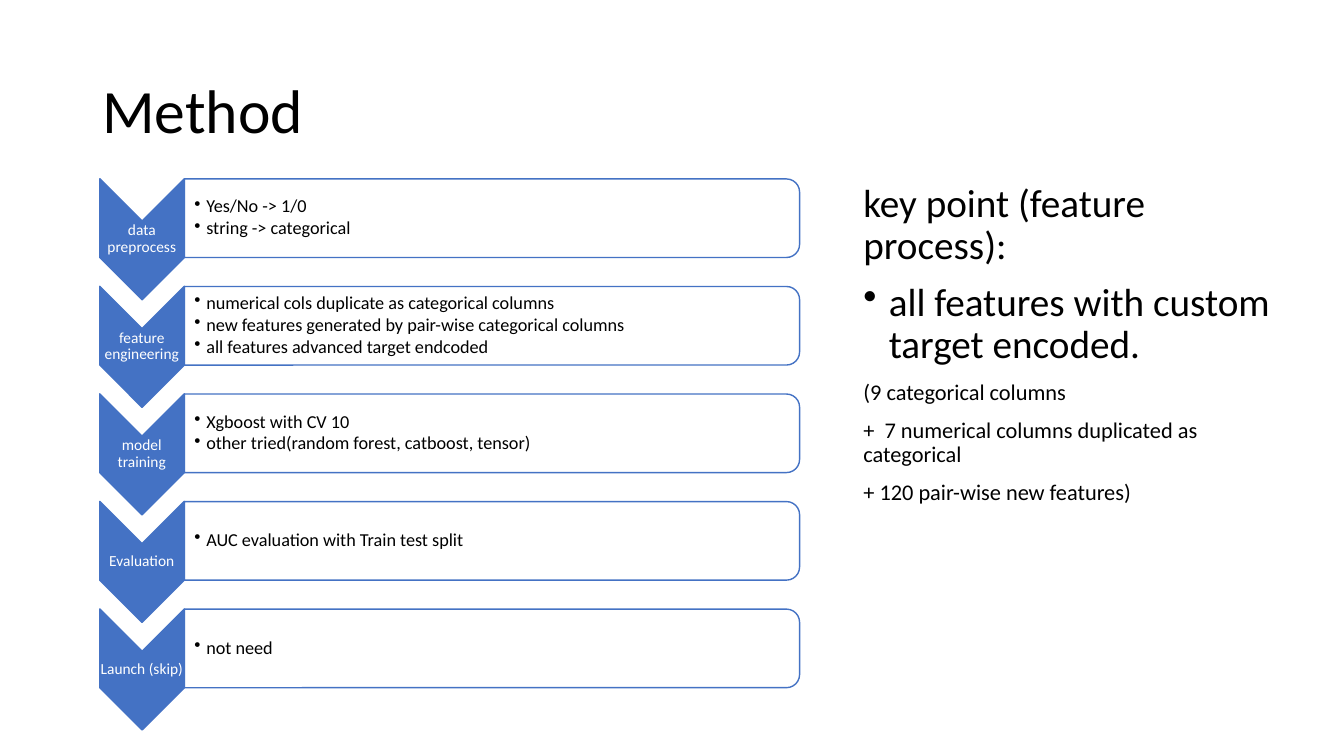
from lxml import etree
from pptx import Presentation
from pptx.dml.color import RGBColor
from pptx.enum.shapes import MSO_SHAPE
from pptx.enum.text import MSO_ANCHOR, PP_ALIGN
from pptx.oxml.ns import qn
from pptx.util import Cm, Pt

CHEVRON = MSO_SHAPE.CHEVRON
ROUND_TOP = MSO_SHAPE.ROUND_2_SAME_RECTANGLE
TOP, MIDDLE = MSO_ANCHOR.TOP, MSO_ANCHOR.MIDDLE
LEFT, CENTER = PP_ALIGN.LEFT, PP_ALIGN.CENTER
BLUE, WHITE, BLACK = "4472C4", "FFFFFF", "000000"


def add_text(box, lines, anchor=TOP, align=LEFT, color=BLACK, before=0, after=0,
             insets=(0.25, 0.13, 0.25, 0.13)):
    """Put (text, size, bullet indent in cm) lines into a new text box."""
    frame = slide.shapes.add_textbox(*map(Cm, box)).text_frame
    frame.word_wrap = True
    frame.vertical_anchor = anchor
    (frame.margin_left, frame.margin_top,
     frame.margin_right, frame.margin_bottom) = map(Cm, insets)
    for index, (text, size, indent) in enumerate(lines):
        paragraph = frame.add_paragraph() if index else frame.paragraphs[0]
        paragraph.alignment = align
        paragraph.line_spacing = 0.9
        paragraph.space_before = Pt(before)
        paragraph.space_after = Pt(after)
        run = paragraph.add_run()
        run.text = text
        run.font.name = "Calibri"
        run.font.size = Pt(size)
        run.font.color.rgb = RGBColor.from_string(color)
        if indent:
            properties = paragraph._p.get_or_add_pPr()
            properties.set("marL", str(Cm(indent)))
            properties.set("indent", str(-Cm(indent)))
            etree.SubElement(properties, qn("a:buChar"), char="•")


def add_turned_shape(kind, center_x, center_y, width, height, fill):
    """Add a blue-outlined shape turned by 90 degrees about its center."""
    shape = slide.shapes.add_shape(kind, Cm(center_x - width / 2), Cm(center_y - height / 2),
                                   Cm(width), Cm(height))
    shape.rotation = 90
    shape.shadow.inherit = False
    shape.fill.solid()
    shape.fill.fore_color.rgb = RGBColor.from_string(fill)
    shape.line.color.rgb = RGBColor.from_string(BLUE)
    shape.line.width = Pt(1)
    return shape


presentation = Presentation()
presentation.slide_width, presentation.slide_height = Cm(33.87), Cm(19.05)
slide = presentation.slides.add_slide(presentation.slide_layouts[6])

# Title
add_text((2.33, 1.01, 29.21, 3.68), [("Method", 44, 0)], anchor=MIDDLE)

# Key points on the right
key_points = [
    ("key point (feature process):", 28, 0),
    ("all features with custom target encoded.", 28, 0.64),
    ("(9 categorical columns", 16, 0),
    ("+  7 numerical columns duplicated as categorical", 16, 0),
    ("+ 120 pair-wise new features)", 16, 0),
]
add_text((21.51, 4.5, 11.02, 9.91), key_points, before=10)

# Process steps, one chevron and one panel per row
steps = [
    ("data preprocess", ["Yes/No -> 1/0", "string -> categorical"]),
    ("feature engineering", ["numerical cols duplicate as categorical columns",
                             "new features generated by pair-wise categorical columns",
                             "all features advanced target endcoded"]),
    ("model training", ["Xgboost with CV 10",
                        "other tried(random forest, catboost, tensor)"]),
    ("Evaluation", ["AUC evaluation with Train test split"]),
    ("Launch (skip)", ["not need"]),
]
FIRST_TOP, STEP_PITCH = 4.5, 2.71
for row, (name, details) in enumerate(steps):
    top = FIRST_TOP + row * STEP_PITCH
    add_turned_shape(CHEVRON, 3.58, top + 1.53, 3.05, 2.13, BLUE)
    add_text((2.51, top + 1.07, 2.13, 0.91), [(name, 11, 0)], anchor=MIDDLE, align=CENTER,
             color=WHITE, insets=(0.02, 0.02, 0.02, 0.02))
    panel = add_turned_shape(ROUND_TOP, 12.4, top + 1, 1.98, 15.5, WHITE)
    panel_color = panel.fill._xPr.find(qn("a:solidFill"))[0]
    etree.SubElement(panel_color, qn("a:alpha"), val="90000")
    add_text((4.65, top + 0.1, 15.4, 1.79), [(detail, 13, 0.3) for detail in details],
             anchor=MIDDLE, after=1.6, insets=(0.25, 0.02, 0.02, 0.02))

presentation.save("out.pptx")
